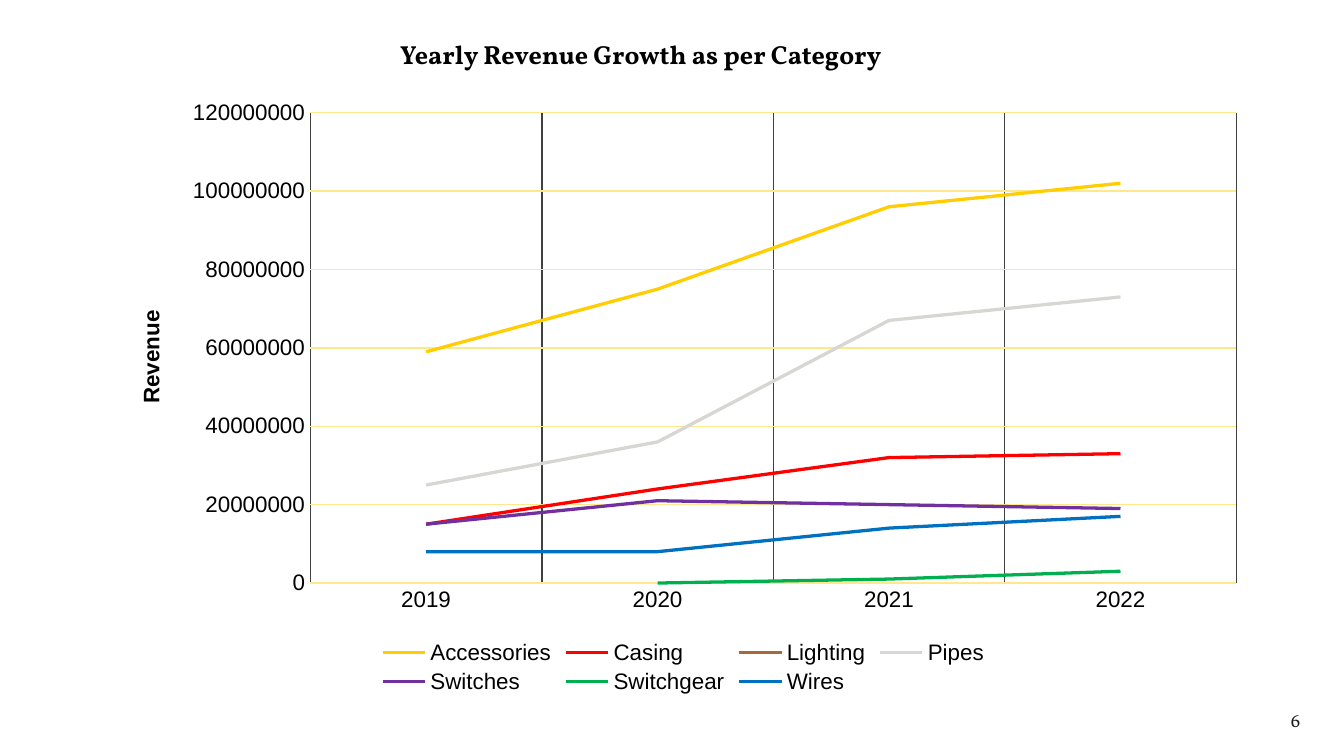
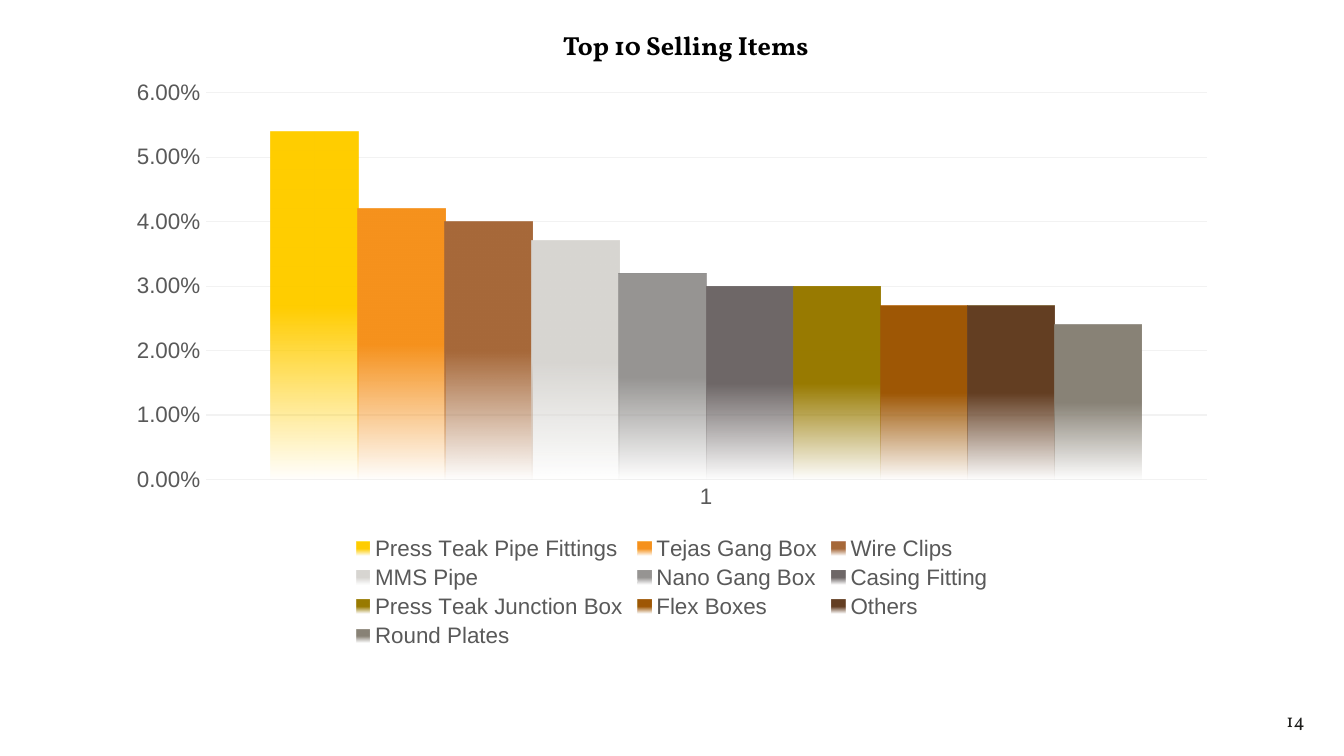
from pptx import Presentation
from pptx.chart.data import CategoryChartData as ChartData
from pptx.dml.color import RGBColor as RGB
from pptx.enum.chart import XL_CHART_TYPE as ChartType
from pptx.enum.chart import XL_LEGEND_POSITION as LegendPosition
from pptx.enum.chart import XL_TICK_MARK as TickMark
from pptx.enum.text import MSO_ANCHOR as Anchor
from pptx.enum.text import MSO_AUTO_SIZE as AutoSize
from pptx.enum.text import PP_ALIGN as Align
from pptx.oxml.ns import qn
from pptx.util import Inches, Pt
from lxml import etree

COLORS = {
    "black": "000000", "ink": "1D1D1B", "gray": "595959",
    "grid_dark": "404040", "grid_yellow": "FFE88C", "grid_light": "F2F2F2",
    "yellow": "FFCD00", "orange": "F6921D", "brown": "A7693A",
    "silver": "D8D6D2", "mid_gray": "979593", "slate": "6F6868",
    "olive": "997B00", "rust": "9F5806", "dark_brown": "643F23",
    "taupe": "898377", "red": "FF0000", "purple": "7030A0",
    "green": "00B050", "blue": "0070C0",
}
TITLE_FONT = {"name": "Vollkorn", "size": Pt(14), "bold": True}
NUMBER_FONT = {"name": "Vollkorn", "size": Pt(10)}
CHART_FONT = {"name": "Arial", "size": Pt(12), "bold": False}
AXIS_TITLE_FONT = {"name": "Arial", "size": Pt(12), "bold": True}
MILLION = 1_000_000

# Places are left, top, width, height in inches on the page
SLIDES = [
    {
        "title": "Yearly Revenue Growth as per Category",
        "title_at": (2.88, 0.16, 4.24, 0.48),
        "title_frame": {"word_wrap": True, "vertical_anchor": Anchor.MIDDLE},
        "number": "6",
        "type": ChartType.LINE,
        "chart_at": (0.81, 0.67, 8.55, 4.53),
        "plot_at": (2.31, 0.84, 6.89, 3.5),
        "text_color": "black",
        "grids": ("grid_dark", "grid_yellow"),
        "scale": (120 * MILLION, 20 * MILLION, "General"),
        "axis_title": "Revenue",
        "axis_title_at": (0.99, 2.28),
        "categories": ["2019", "2020", "2021", "2022"],
        "unit": MILLION,
        "series": [
            ("Accessories", "yellow", [59, 75, 96, 102]),
            ("Casing", "red", [15, 24, 32, 33]),
            ("Lighting", "brown", [None, None, None, 0]),
            ("Pipes", "silver", [25, 36, 67, 73]),
            ("Switches", "purple", [15, 21, 20, 19]),
            ("Switchgear", "green", [None, 0, 1, 3]),
            ("Wires", "blue", [8, 8, 14, 17]),
        ],
    },
    {
        "title": "Top 10 Selling Items",
        "title_at": (4.09, 0.17, 2.09, 0.34),
        "title_frame": {"word_wrap": False, "auto_size": AutoSize.SHAPE_TO_FIT_TEXT},
        "number": "14",
        "type": ChartType.COLUMN_CLUSTERED,
        "chart_at": (0.85, 0.52, 8.3, 4.34),
        "plot_at": (1.53, 0.69, 7.45, 2.88),
        "text_color": "gray",
        "grids": (None, "grid_light"),
        "scale": (0.06, 0.01, "0.00%"),
        "axis_title": None,
        "categories": ["1"],
        "unit": 1,
        "series": [
            ("Press Teak Pipe Fittings", "yellow", [0.054]),
            ("Tejas Gang Box", "orange", [0.042]),
            ("Wire Clips", "brown", [0.04]),
            ("MMS Pipe", "silver", [0.037]),
            ("Nano Gang Box", "mid_gray", [0.032]),
            ("Casing Fitting", "slate", [0.03]),
            ("Press Teak Junction Box", "olive", [0.03]),
            ("Flex Boxes", "rust", [0.027]),
            ("Others", "dark_brown", [0.027]),
            ("Round Plates", "taupe", [0.024]),
        ],
    },
]


def style_font(font, values, color):
    for name, value in values.items():
        setattr(font, name, value)
    font.color.rgb = RGB.from_string(COLORS[color])


def add_text(page, text, place, frame_values, font_values, color, align):
    box = page.shapes.add_textbox(*map(Inches, place))
    for name, value in frame_values.items():
        setattr(box.text_frame, name, value)
    para = box.text_frame.paragraphs[0]
    para.alignment = align
    span = para.add_run()
    span.text = text
    style_font(span.font, font_values, color)


# Widescreen deck, 16:9
deck = Presentation()
deck.slide_width = Inches(10)
deck.slide_height = deck.slide_width * 9 // 16

for content in SLIDES:
    page = deck.slides.add_slide(deck.slide_layouts[6])

    # Page number
    number_frame = {"word_wrap": True, "margin_top": Inches(0.1), "margin_bottom": Inches(0.1)}
    add_text(page, content["number"], (9.34, 5.19, 0.6, 0.43), number_frame,
             NUMBER_FONT, "ink", Align.CENTER)

    # Chart and its data
    data = ChartData()
    data.categories = content["categories"]
    for name, _, values in content["series"]:
        data.add_series(name, [None if v is None else v * content["unit"] for v in values])
    chart = page.shapes.add_chart(
        content["type"], *map(Inches, content["chart_at"]), data).chart
    chart.has_title = False
    style_font(chart.font, {"name": "Arial", "size": Pt(10)}, "black")

    # Legend
    chart.has_legend = True
    chart.legend.position = LegendPosition.BOTTOM
    chart.legend.include_in_layout = False
    style_font(chart.legend.font, CHART_FONT, content["text_color"])

    # Axes and gridlines
    for axis, grid in zip((chart.category_axis, chart.value_axis), content["grids"]):
        axis.major_tick_mark = axis.minor_tick_mark = TickMark.NONE
        axis.format.line.fill.background()
        style_font(axis.tick_labels.font, CHART_FONT, content["text_color"])
        axis.has_major_gridlines = grid is not None
        if grid:
            line = axis.major_gridlines.format.line
            line.width = Pt(0.75)
            line.color.rgb = RGB.from_string(COLORS[grid])
    axis = chart.value_axis
    axis.minimum_scale = 0
    axis.maximum_scale, axis.major_unit, axis.tick_labels.number_format = content["scale"]
    axis.tick_labels.number_format_is_linked = False

    # Plot area, and the value axis title beside it, as shares of the chart
    plot = chart.plots[0]
    plot_area = plot._element.getparent()
    layouts = [(plot_area, 0, content["plot_at"])]
    if content["axis_title"]:
        frame = axis.axis_title.text_frame
        frame.text = content["axis_title"]
        style_font(frame.paragraphs[0].runs[0].font, AXIS_TITLE_FONT, "black")
        frame._txBody.find(qn("a:bodyPr")).set("rot", "-5400000")
        layouts.append((axis.axis_title._element, 1, content["axis_title_at"]))
    left, top, width, height = content["chart_at"]
    for parent, index, place in layouts:
        for old_layout in parent.findall(qn("c:layout")):
            parent.remove(old_layout)
        layout = etree.Element(qn("c:layout"))
        manual = etree.SubElement(layout, qn("c:manualLayout"))
        if parent is plot_area:
            etree.SubElement(manual, qn("c:layoutTarget")).set("val", "inner")
        for tag in ("xMode", "yMode"):
            etree.SubElement(manual, qn(f"c:{tag}")).set("val", "edge")
        for tag, value, start, size in zip(
                "xywh", place, (left, top, 0, 0), (width, height, width, height)):
            share = (value - start) / size
            etree.SubElement(manual, qn(f"c:{tag}")).set("val", f"{share:.4f}")
        parent.insert(index, layout)

    # Series: plain lines, or columns that fade out at the foot
    plot.vary_by_categories = False
    if content["type"] == ChartType.COLUMN_CLUSTERED:
        plot.gap_width, plot.overlap = 150, 0
    for series, (_, color, _) in zip(plot.series, content["series"]):
        rgb = RGB.from_string(COLORS[color])
        if content["type"] == ChartType.LINE:
            series.smooth = False
            series.format.line.width = Pt(1.75)
            series.format.line.color.rgb = rgb
            continue
        fill = series.format.fill
        fill.gradient()
        fill.gradient_angle = 270
        for stop, position in zip(fill.gradient_stops, (0.5, 1)):
            stop.position = position
            stop.color.rgb = rgb
        foot = series._element.findall(".//" + qn("a:srgbClr"))[-1]
        etree.SubElement(foot, qn("a:alpha")).set("val", "0")

    # Slide title
    add_text(page, content["title"], content["title_at"], content["title_frame"],
             TITLE_FONT, "black", Align.LEFT)

deck.save("out.pptx")
